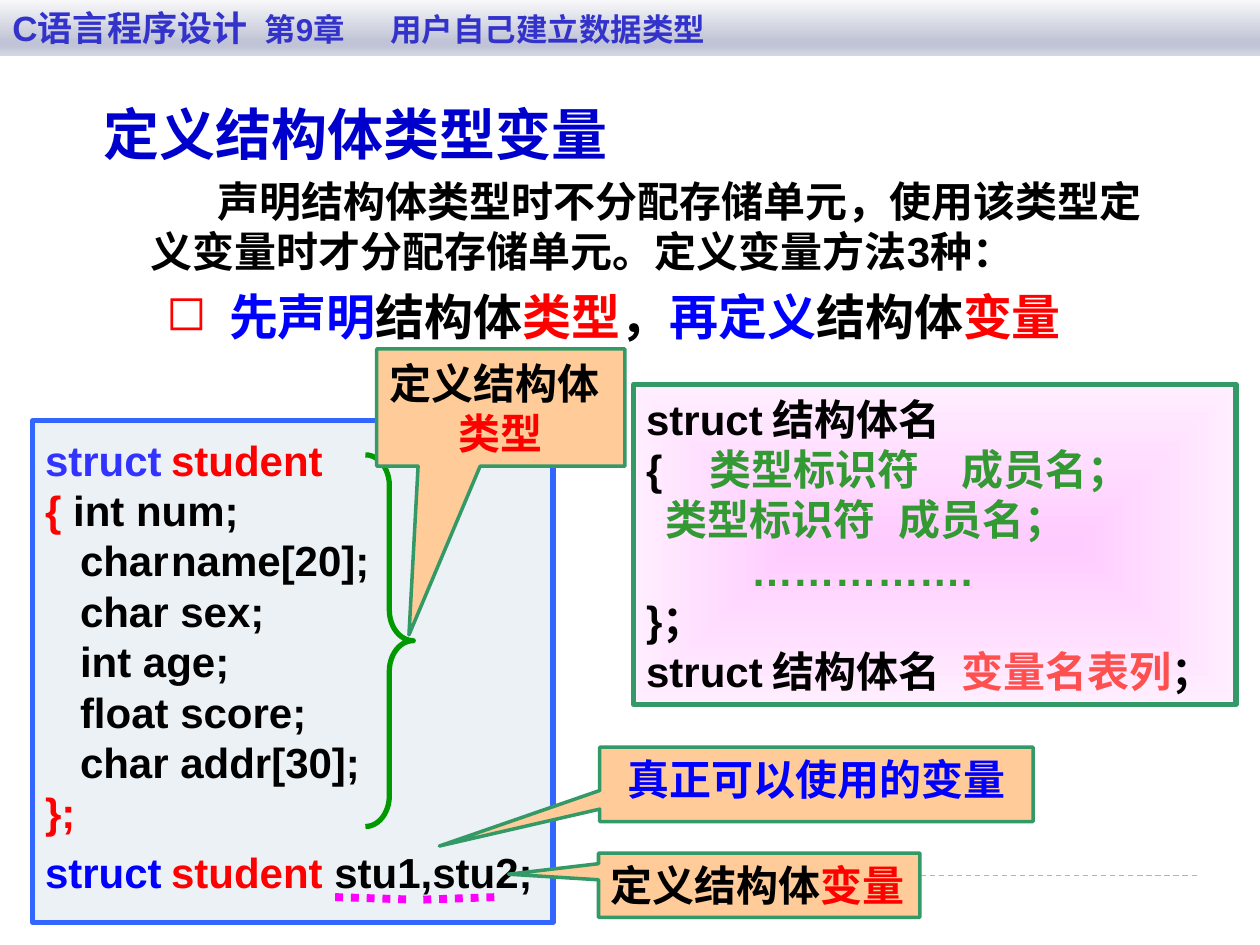
from dataclasses import dataclass
from typing import Optional

from pptx import Presentation
from pptx.dml.color import RGBColor
from pptx.enum.dml import MSO_LINE
from pptx.enum.shapes import MSO_CONNECTOR, MSO_SHAPE
from pptx.enum.text import MSO_ANCHOR, PP_ALIGN
from pptx.oxml import parse_xml
from pptx.oxml.ns import nsdecls
from pptx.oxml.xmlchemy import OxmlElement
from pptx.util import Inches, Pt


@dataclass(frozen=True)
class Theme:
    font: str = "Arial"
    title: int = 32
    bullet: int = 28
    body: int = 24
    header: int = 20
    chapter: int = 18
    black: str = "000000"
    red: str = "FF0000"
    blue: str = "0000FF"
    navy: str = "0000CC"
    indigo: str = "3333CC"
    keyword: str = "3333FF"
    green: str = "339933"
    coral: str = "FF5050"
    brace: str = "009900"
    edge: str = "339966"
    peach: str = "FFCC99"
    code_fill: str = "ECF1F5"
    code_edge: str = "3366FF"
    magenta: str = "FF00FF"
    rule: str = "9FB8CD"
    header_stops: tuple = ((0, "F8F8FA"), (74, "C0C4D6"), (83, "C0C4D6"), (100, "D5D8E3"))
    syntax_stops: tuple = ((0, "FFCCFF"), (100, "FFEEFF"))


T = Theme()
LINEAR = '<a:lin ang="5400000" scaled="0"/>'
CENTRED = ('<a:path path="shape"><a:fillToRect l="50000" t="50000" '
           'r="50000" b="50000"/></a:path>')


@dataclass(frozen=True)
class Run:
    text: str
    color: str = T.black
    size: int = T.body


@dataclass(frozen=True)
class Para:
    runs: tuple
    before: int = 0
    align: Optional[PP_ALIGN] = None
    margin: float = 0
    indent: float = 0
    bullet: str = ""
    tabs: tuple = ()


@dataclass(frozen=True)
class Callout:
    box: tuple
    tip: tuple
    paras: tuple
    anchor: MSO_ANCHOR = MSO_ANCHOR.MIDDLE
    wrap: bool = True


def rgb(color: str) -> RGBColor:
    return RGBColor.from_string(color)


def add_child(parent, tag: str, **attrs: str):
    child = OxmlElement(tag)
    for name, value in attrs.items():
        child.set(name, value)
    parent.append(child)
    return child


def write(sp, paras: tuple, anchor=MSO_ANCHOR.TOP, wrap: bool = True) -> None:
    tf = sp.text_frame
    tf.word_wrap = wrap
    tf.vertical_anchor = anchor
    for i, para in enumerate(paras):
        p = tf.paragraphs[0] if i == 0 else tf.add_paragraph()
        pPr = p._p.get_or_add_pPr()
        pPr.set("marL", str(Inches(para.margin)))
        pPr.set("indent", str(Inches(para.indent)))
        if para.bullet:
            add_child(add_child(pPr, "a:buClr"), "a:srgbClr", val=T.red)
            add_child(pPr, "a:buChar", char=para.bullet)
        if para.tabs:
            tab_list = add_child(pPr, "a:tabLst")
            for pos in para.tabs:
                add_child(tab_list, "a:tab", pos=str(Inches(pos)), algn="l")
        p.alignment = para.align or PP_ALIGN.LEFT
        if para.before:
            p.space_before = Pt(para.before)
        for run in para.runs:
            r = p.add_run()
            r.text = run.text
            r.font.name, r.font.size, r.font.bold = T.font, Pt(run.size), True
            r.font.color.rgb = rgb(run.color)


def add_box(s, kind, box: tuple, fill: str = "", edge: str = "", width: float = 0):
    sp = s.shapes.add_shape(kind, *map(Inches, box))
    sp.shadow.inherit = False
    if fill:
        sp.fill.solid()
        sp.fill.fore_color.rgb = rgb(fill)
    else:
        sp.fill.background()
    if edge:
        sp.line.color.rgb = rgb(edge)
        sp.line.width = Pt(width)
    else:
        sp.line.fill.background()
    return sp


def set_gradient(sp, stops: tuple, shade: str) -> None:
    marks = "".join(f'<a:gs pos="{pos * 1000}"><a:srgbClr val="{color}"/></a:gs>'
                    for pos, color in stops)
    spPr = sp._element.spPr
    old = spPr.find("{*}noFill")
    spPr.replace(old, parse_xml(f'<a:gradFill {nsdecls("a")} rotWithShape="1">'
                                f'<a:gsLst>{marks}</a:gsLst>{shade}</a:gradFill>'))


def add_line(s, ends: tuple, color: str, width: float, dash: MSO_LINE) -> None:
    ln = s.shapes.add_connector(MSO_CONNECTOR.STRAIGHT, *map(Inches, ends))
    ln.line.color.rgb = rgb(color)
    ln.line.width = Pt(width)
    ln.line.dash_style = dash
    add_child(ln._element.spPr, "a:effectLst")


def add_callout(s, c: Callout) -> None:
    sp = add_box(s, MSO_SHAPE.RECTANGULAR_CALLOUT, c.box, T.peach, T.edge, 2)
    sp.adjustments[0], sp.adjustments[1] = c.tip
    write(sp, c.paras, c.anchor, c.wrap)


INTRO = (
    Para((Run("定义结构体类型变量", T.navy, T.title),)),
    Para((Run("声明结构体类型时不分配存储单元，使用该类型定义变量时才分配存储单元。定义变量方法3种："),),
         before=5, margin=0.38, indent=0.53),
    Para(tuple(Run(text, color, T.bullet) for text, color in (
        ("先声明", T.blue), ("结构体", T.black), ("类型", T.red), ("，", T.black),
        ("再定义", T.blue), ("结构体", T.black), ("变量", T.red))),
        before=6, margin=1, indent=-0.5, bullet="◻"),
)
MEMBERS = ("   char\tname[20];", "   char sex;", "   int age;",
           "   float score;", "   char addr[30];")
CODE = (
    Para((Run("struct\t", T.keyword), Run("student", T.red)), tabs=(1.2,)),
    Para((Run("{ ", T.red), Run("int num;"))),
    *(Para((Run(member),), tabs=(1.16,)) for member in MEMBERS),
    Para((Run("};", T.red),)),
    Para((Run("struct", T.blue), Run("\tstudent", T.red), Run(" stu1,stu2;")),
         before=5, tabs=(1.11,)),
)
SYNTAX = (
    Para((Run("struct\t结构体名"),), tabs=(1.47,)),
    Para((Run("{\t"), Run("类型标识符\t成员名；", T.green)), tabs=(0.3, 2.27)),
    Para((Run("  类型标识符\t成员名；", T.green),), tabs=(2.12,)),
    Para((Run("         …………….", T.green),)),
    Para((Run("}；"),)),
    Para((Run("struct\t结构体名\t"), Run("变量名表列", T.coral), Run("；")), tabs=(1.19, 2.68)),
)
HEADER = (Para((Run("C语言程序设计\t", T.indigo, T.header),
                Run("第9章\t用户自己建立数据类型", T.indigo, T.chapter)), tabs=(6.3, 7.17)),)
CALLOUTS = (
    Callout((2.99, 2.77, 1.97, 0.93), (-0.37, 1.94),
            (Para((Run("定义结构体"),)),
             Para((Run("类型", T.red),), align=PP_ALIGN.CENTER))),
    Callout((4.75, 6.77, 2.55, 0.51), (-0.78, -0.17),
            (Para((Run("定义结构体"), Run("变量", T.red))),), wrap=False),
    Callout((4.76, 5.93, 3.44, 0.59), (-0.87, 0.83),
            (Para((Run("真正可以使用的变量", T.blue),), align=PP_ALIGN.CENTER),),
            anchor=MSO_ANCHOR.TOP),
)


def main() -> None:
    prs = Presentation()
    prs.slide_width, prs.slide_height = Inches(10), Inches(7.5)
    s = prs.slides.add_slide(prs.slide_layouts[6])

    add_line(s, (0.5, 6.95, 9.5, 6.95), T.rule, 0.75, MSO_LINE.DASH)
    write(s.shapes.add_textbox(*map(Inches, (0.72, 0.74, 8.7, 2.15))), INTRO)

    code = add_box(s, MSO_SHAPE.RECTANGLE, (0.26, 3.34, 4.13, 3.98),
                   T.code_fill, T.code_edge, 3)
    code.text_frame.margin_bottom = Inches(0.15)
    write(code, CODE, MSO_ANCHOR.MIDDLE)
    brace = add_box(s, MSO_SHAPE.RIGHT_BRACE, (2.9, 3.61, 0.38, 2.95), edge=T.brace, width=3)
    brace.adjustments[0], brace.adjustments[1] = 0.64, 0.5

    for callout in CALLOUTS:
        add_callout(s, callout)
    for ends in ((2.66, 7.12, 3.28, 7.14), (3.36, 7.14, 3.94, 7.12)):
        add_line(s, ends, T.magenta, 4.5, MSO_LINE.ROUND_DOT)

    syntax = add_box(s, MSO_SHAPE.RECTANGLE, (5.03, 3.05, 4.78, 2.54), edge=T.edge, width=3)
    set_gradient(syntax, T.syntax_stops, CENTRED)
    syntax.text_frame.margin_right = 0
    write(syntax, SYNTAX, MSO_ANCHOR.MIDDLE)

    header = add_box(s, MSO_SHAPE.RECTANGLE, (0, 0, 10, 0.44))
    set_gradient(header, T.header_stops, LINEAR)
    write(header, HEADER)

    prs.save("out.pptx")


if __name__ == "__main__":
    main()
